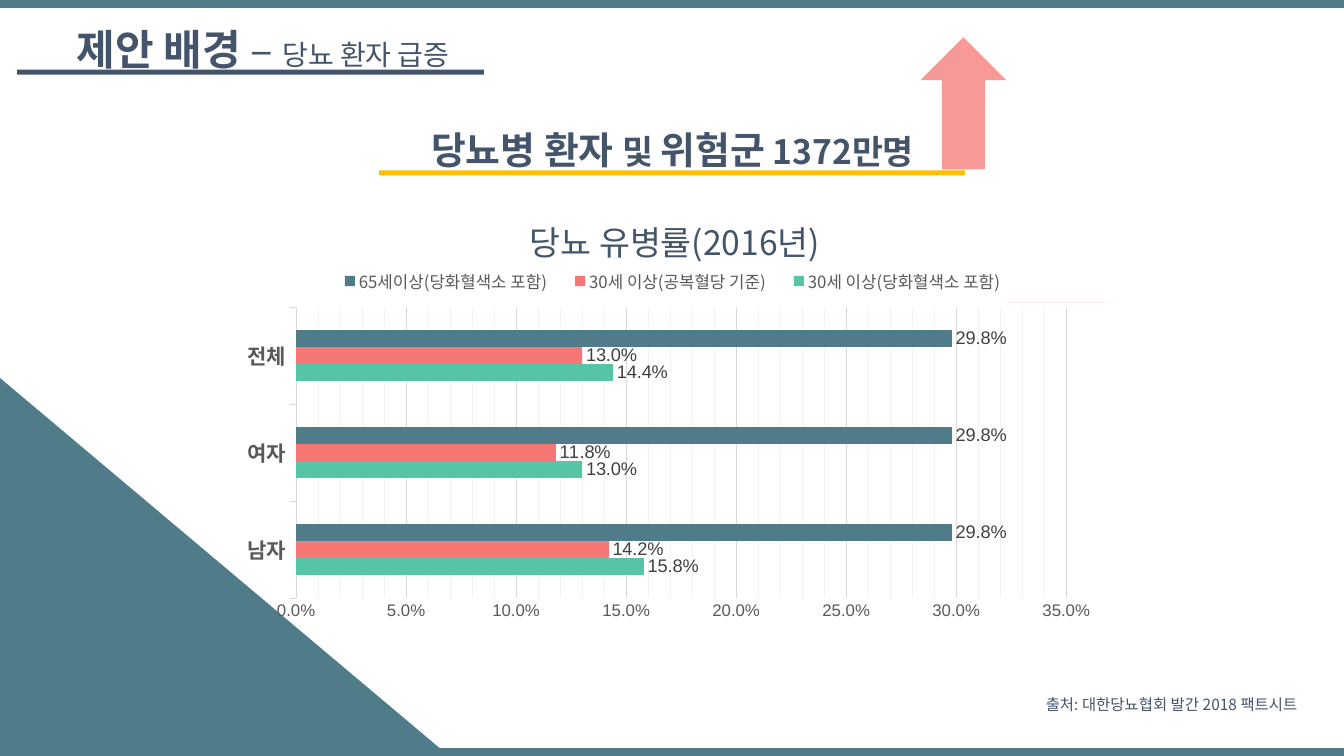
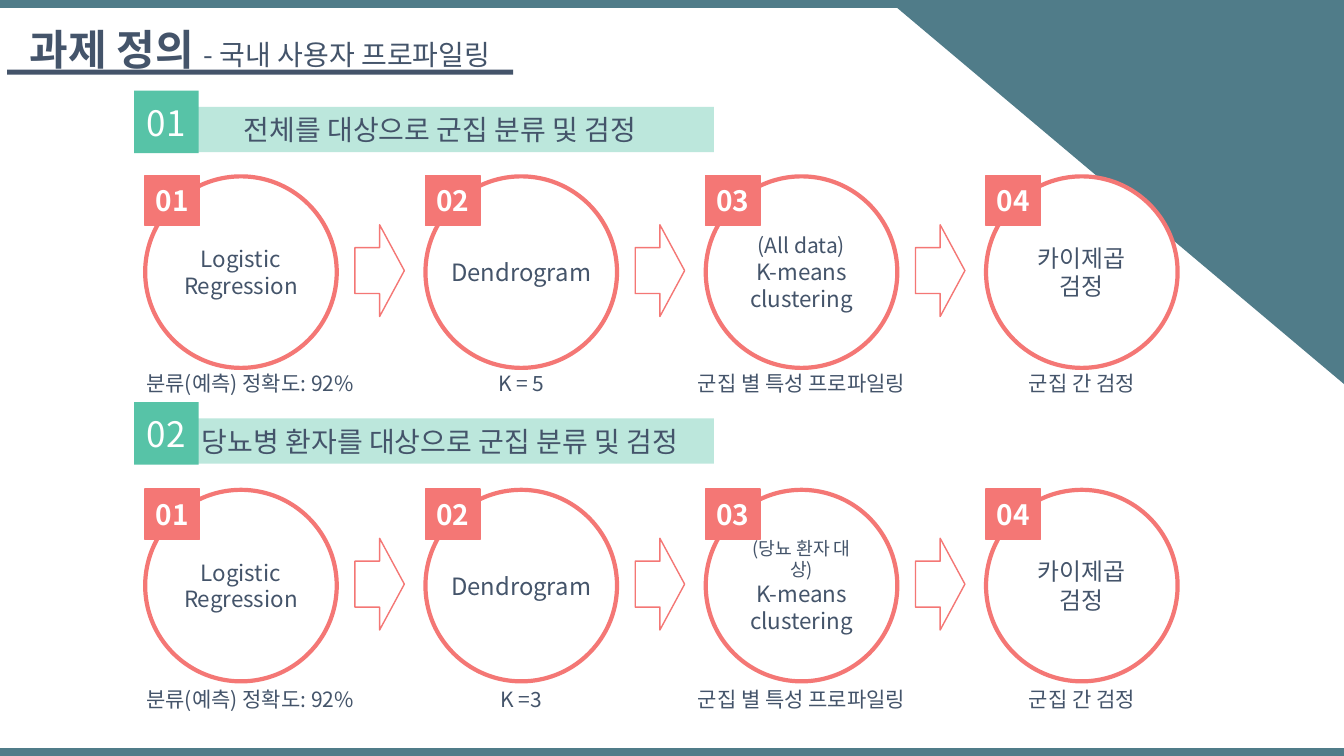
from lxml import etree
from pptx import Presentation
from pptx.chart.data import CategoryChartData
from pptx.dml.color import RGBColor
from pptx.enum import chart as charts, shapes, text
from pptx.oxml import parse_xml
from pptx.oxml.ns import nsdecls, qn
from pptx.util import Inches, Pt

COLORS = {
    "teal": "507C89", "navy": "44546A", "coral": "F47775", "mint": "57C3A7",
    "pale_mint": "BCE7DC", "gold": "FFC000", "white": "FFFFFF",
    "axis_text": "595959", "label_text": "404040",
    "grid": "D9D9D9", "minor_grid": "F2F2F2",
}
KOREAN = "Noto Sans CJK KR"
LATIN = "Arial"
SHAPE = shapes.MSO_SHAPE

# Chart content
CATEGORIES = ("남자", "여자", "전체")
SERIES = (
    ("30세 이상(당화혈색소 포함)", (0.158, 0.13, 0.144), "mint"),
    ("30세 이상(공복혈당 기준)", (0.142, 0.118, 0.13), "coral"),
    ("65세이상(당화혈색소 포함)", (0.298, 0.298, 0.298), "teal"),
)

# Syringe outline and its window, in slide inches
SYRINGE = (
    ((10.71, 2.51), (10.69, 2.53), (10.71, 2.57), (10.68, 2.61), (10.64, 2.58),
     (10.62, 2.6), (10.63, 2.65), (10.25, 3.03), (10.24, 3.06), (10.25, 3.1),
     (10.24, 3.1), (10.24, 3.13), (10.25, 3.13), (10.08, 3.31), (10.12, 3.29),
     (10.26, 3.15), (10.29, 3.15), (10.33, 3.16), (10.36, 3.14), (10.74, 2.76),
     (10.8, 2.77), (10.8, 2.74), (10.78, 2.7), (10.82, 2.67), (10.88, 2.69),
     (10.87, 2.64), (10.81, 2.57), (10.75, 2.52)),
    ((10.46, 2.86), (10.5, 2.89), (10.53, 2.94), (10.36, 3.1), (10.32, 3.12),
     (10.29, 3.11), (10.27, 3.07), (10.29, 3.03), (10.45, 2.87)),
)

# Process content: each step is its circle lines (text, size) and its caption
LOGISTIC = ((("Logistic", 16), ("Regression", 16)), "분류(예측) 정확도: 92%")
CHI_SQUARE = ((("카이제곱", 17), ("검정", 17)), "군집 간 검정")
PROFILING = "군집 별 특성 프로파일링"


def dendrogram(caption):
    return (("Dendrogram", 17),), caption


def k_means(scope, size):
    return ((scope, size), ("K-means", 16), ("clustering", 16)), PROFILING


# Number, heading, tops of heading, circles and captions, steps
PROCESSES = (
    ("01", "전체를 대상으로 군집 분류 및 검정", 0.9, 1.75, 3.54,
     (LOGISTIC, dendrogram("K = 5"), k_means("(All data)", 15), CHI_SQUARE)),
    ("02", "당뇨병 환자를 대상으로 군집 분류 및 검정", 3.99, 4.86, 6.68,
     (LOGISTIC, dendrogram("K =3"), k_means("(당뇨 환자 대상)", 13), CHI_SQUARE)),
)
CIRCLE = 1.9
STEP_LEFT, STEP_PITCH = 1.44, 2.78
CAPTION_WIDTH = 2.4
CAPTION_SHIFTS = (0.09, 0, 0, 0)


def rgb(color):
    return RGBColor.from_string(COLORS[color])


def set_font(font, size, color, name=KOREAN, bold=False):
    font.size, font.bold, font.name = Pt(size), bold, name
    font.color.rgb = rgb(color)
    etree.SubElement(font._rPr, qn("a:ea"), typeface=name)


def write(shape, paragraphs, color="navy"):
    """Fill a shape with centred paragraphs, each a list of (text, size, bold)."""
    frame = shape.text_frame
    frame.word_wrap = True
    frame.vertical_anchor = text.MSO_ANCHOR.MIDDLE
    for index, runs in enumerate(paragraphs):
        paragraph = frame.add_paragraph() if index else frame.paragraphs[0]
        paragraph.alignment = text.PP_ALIGN.CENTER
        _, base_size, base_bold = runs[0]
        set_font(paragraph.font, base_size, color, bold=base_bold)
        for words, size, bold in runs:
            run = paragraph.add_run()
            run.text = words
            if size != base_size:
                run.font.size = Pt(size)
            if bold != base_bold:
                run.font.bold = bold


def paint(shape, fill=None, line=None, width=1):
    shape.shadow.inherit = False
    if fill:
        shape.fill.solid()
        shape.fill.fore_color.rgb = rgb(fill)
    else:
        shape.fill.background()
    if line:
        style_line(shape.line, line, width)
    else:
        shape.line.fill.background()


def style_line(line, color, width=0.75):
    line.color.rgb = rgb(color)
    line.width = Pt(width)


def add_shape(slide, kind, box, fill=None, line=None, width=1):
    shape = slide.shapes.add_shape(kind, *map(Inches, box))
    paint(shape, fill, line, width)
    return shape


def add_text(slide, box, runs):
    write(slide.shapes.add_textbox(*map(Inches, box)), [runs])


def add_slide(presentation, corner, rotation=0):
    """Teal slide with a white panel and one teal corner."""
    slide = presentation.slides.add_slide(presentation.slide_layouts[6])
    slide.background.fill.solid()
    slide.background.fill.fore_color.rgb = rgb("teal")
    add_shape(slide, SHAPE.RECTANGLE, (0, 0.08, 13.33, 7.34), "white")
    triangle = add_shape(slide, SHAPE.RIGHT_TRIANGLE, (*corner, 4.43, 3.73), "teal")
    triangle.rotation = rotation
    return slide


def add_title(slide, runs, left, width, line_left, line_width):
    add_text(slide, (left, 0.08, width, 0.8), runs)
    add_shape(slide, SHAPE.RECTANGLE, (line_left, 0.69, line_width, 0.05), "navy")


def add_syringe(slide):
    outline, window = SYRINGE
    builder = slide.shapes.build_freeform(*outline[0], scale=Inches(1))
    builder.add_line_segments(outline[1:], close=True)
    builder.move_to(*window[0])
    builder.add_line_segments(window[1:], close=True)
    paint(builder.convert_to_shape(), "coral")


def place(element, index, inner=False, **lengths):
    """Give a chart part a fixed place, as fractions of the chart."""
    for old in element.findall(qn("c:layout")):
        element.remove(old)
    layout = etree.Element(qn("c:layout"))
    manual = etree.SubElement(layout, qn("c:manualLayout"))
    values = {"xMode": "edge", "yMode": "edge", **lengths}
    if inner:
        values = {"layoutTarget": "inner", **values}
    for tag, value in values.items():
        etree.SubElement(manual, qn(f"c:{tag}"), val=str(value))
    element.insert(index, layout)


def chart_format(content):
    return parse_xml(f'<c:spPr {nsdecls("c", "a")}>{content}</c:spPr>')


def style_axes(chart):
    category, value = chart.category_axis, chart.value_axis
    category.major_tick_mark = charts.XL_TICK_MARK.OUTSIDE
    style_line(category.format.line, "grid")
    set_font(category.tick_labels.font, 15, "axis_text", bold=True)

    value.minimum_scale, value.maximum_scale = 0, 0.35
    value.major_unit, value.minor_unit = 0.05, 0.01
    value.major_tick_mark = value.minor_tick_mark = charts.XL_TICK_MARK.NONE
    value.has_major_gridlines = value.has_minor_gridlines = True
    style_line(value.major_gridlines.format.line, "grid")
    value._element.find(qn("c:minorGridlines")).append(chart_format(
        f'<a:ln w="{Pt(0.75)}"><a:solidFill><a:srgbClr val="{COLORS["minor_grid"]}"/>'
        '</a:solidFill></a:ln>'))
    value.format.line.fill.background()
    value.tick_labels.number_format = "0.0%"
    value.tick_labels.number_format_is_linked = False
    set_font(value.tick_labels.font, 12, "axis_text", LATIN)


def style_series(plot):
    plot.gap_width, plot.overlap = 269, 0
    plot.vary_by_categories = False
    for series, (_, _, color) in zip(plot.series, SERIES):
        series.format.fill.solid()
        series.format.fill.fore_color.rgb = rgb(color)
        labels = series.data_labels
        labels.show_value = True
        labels.number_format, labels.number_format_is_linked = "0.0%", False
        labels.position = charts.XL_LABEL_POSITION.OUTSIDE_END
        set_font(labels.font, 13, "label_text", LATIN)


def add_prevalence_chart(slide):
    data = CategoryChartData(number_format="0.0%")
    data.categories = CATEGORIES
    for name, values, _ in SERIES:
        data.add_series(name, values)
    box = map(Inches, (2.33, 1.87, 8.68, 4.37))
    chart = slide.shapes.add_chart(
        charts.XL_CHART_TYPE.BAR_CLUSTERED, *box, data).chart
    set_font(chart.font, 10, "axis_text", LATIN)
    style_axes(chart)
    style_series(chart.plots[0])

    # Title and legend
    paragraph = chart.chart_title.text_frame.paragraphs[0]
    paragraph.add_run().text = "당뇨 유병률(2016년)"
    set_font(paragraph.font, 24, "navy")
    chart.has_legend = True
    chart.legend.position = charts.XL_LEGEND_POSITION.TOP
    chart.legend.include_in_layout = False
    set_font(chart.legend.font, 12, "axis_text")

    # Fixed layout on a transparent background
    root = chart._chartSpace
    place(root.find(".//" + qn("c:title")), 1, x=0.33, y=0.04)
    place(root.find(".//" + qn("c:legend")), 1, x=0.1, y=0.18, w=0.8, h=0.06)
    place(root.find(".//" + qn("c:plotArea")), 0, inner=True,
          x=0.07, y=0.27, w=0.88, h=0.66)
    root.find(qn("c:chart")).addnext(
        chart_format("<a:noFill/><a:ln><a:noFill/></a:ln>"))


def add_step(slide, number, lines, left, top):
    circle = add_shape(slide, SHAPE.OVAL, (left, top, CIRCLE, CIRCLE),
                       "white", "coral", 3)
    write(circle, [[(words, size, False)] for words, size in lines])
    circle.text_frame.word_wrap = len(lines) > 1
    badge = add_shape(slide, SHAPE.RECTANGLE, (left, top - 0.01, 0.54, 0.5),
                      "coral", "coral")
    write(badge, [[(f"{number:02}", 20, True)]], "white")


def add_process(slide, number, heading, heading_top, step_top, caption_top, steps):
    # Heading bar with its number
    bar = add_shape(slide, SHAPE.RECTANGLE, (1.65, heading_top + 0.16, 5.43, 0.45),
                    "pale_mint")
    write(bar, [[(heading, 20, False)]])
    tile = add_shape(slide, SHAPE.RECTANGLE, (1.33, heading_top, 0.64, 0.62), "mint")
    write(tile, [[(number, 25, False)]], "white")

    # Circles, arrows between them and captions
    for index, ((lines, caption), shift) in enumerate(zip(steps, CAPTION_SHIFTS)):
        left = STEP_LEFT + index * STEP_PITCH
        add_step(slide, index + 1, lines, left, step_top)
        if index < len(steps) - 1:
            add_shape(slide, SHAPE.RIGHT_ARROW,
                      (left + 2.08, step_top + 0.48, 0.49, 0.91), line="coral")
        caption_left = left + (CIRCLE - CAPTION_WIDTH) / 2 + shift
        add_text(slide, (caption_left, caption_top, CAPTION_WIDTH, 0.52),
                 [(caption, 15, False)])


def build_background_slide(presentation):
    slide = add_slide(presentation, (0, 3.75))
    add_prevalence_chart(slide)
    add_text(slide, (10.12, 6.81, 3, 0.35),
             [("출처: 대한당뇨협회 발간 2018 팩트시트", 11, False)])
    add_text(slide, (1.58, 1.08, 10.18, 0.8),
             [("당뇨병 환자 ", 27, True), ("및 ", 24, True),
              ("위험군", 27, True), (" 1372만명", 24, True)])
    arrow = add_shape(slide, SHAPE.UP_ARROW, (9.13, 0.37, 0.85, 1.31), "coral")
    fill_color = arrow._element.spPr.find(".//" + qn("a:srgbClr"))
    etree.SubElement(fill_color, qn("a:alpha"), val="75000")
    add_title(slide, [("제안 배경 ", 30, True), ("– ", 30, False),
                      ("당뇨 환자 급증", 20, False)], 0, 5.22, 0.17, 4.63)
    add_syringe(slide)
    add_shape(slide, SHAPE.RECTANGLE, (3.76, 1.69, 5.81, 0.05), "gold")


def build_definition_slide(presentation):
    slide = add_slide(presentation, (8.9, 0.08), rotation=180)
    add_title(slide, [("과제 정의 ", 30, True), ("- 국내 사용자 프로파일링", 20, False)],
              0.07, 5.02, 0.07, 5.02)
    for process in PROCESSES:
        add_process(slide, *process)


def main():
    presentation = Presentation()
    presentation.slide_width, presentation.slide_height = Inches(13.33), Inches(7.5)
    build_background_slide(presentation)
    build_definition_slide(presentation)
    presentation.save("out.pptx")


if __name__ == "__main__":
    main()
